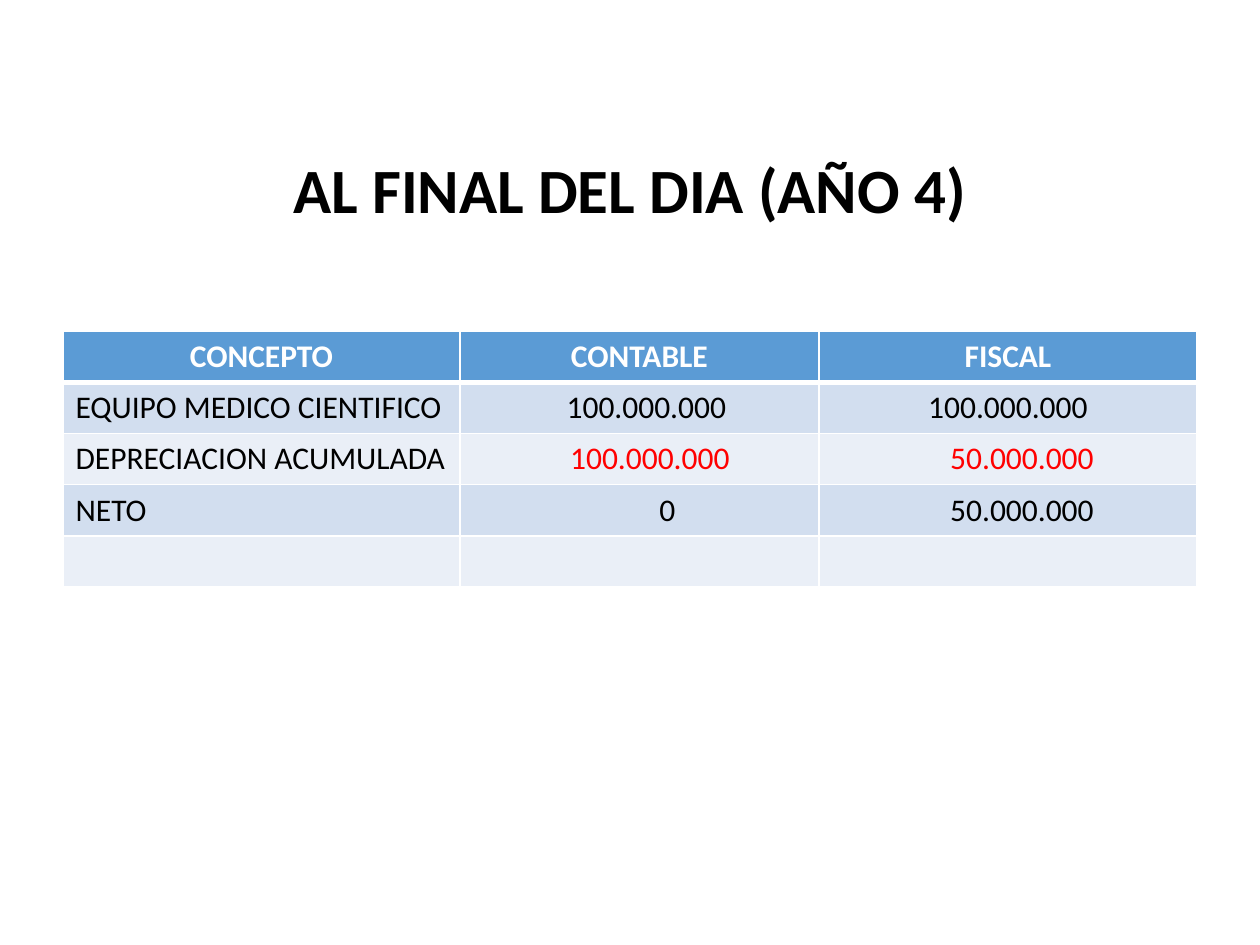
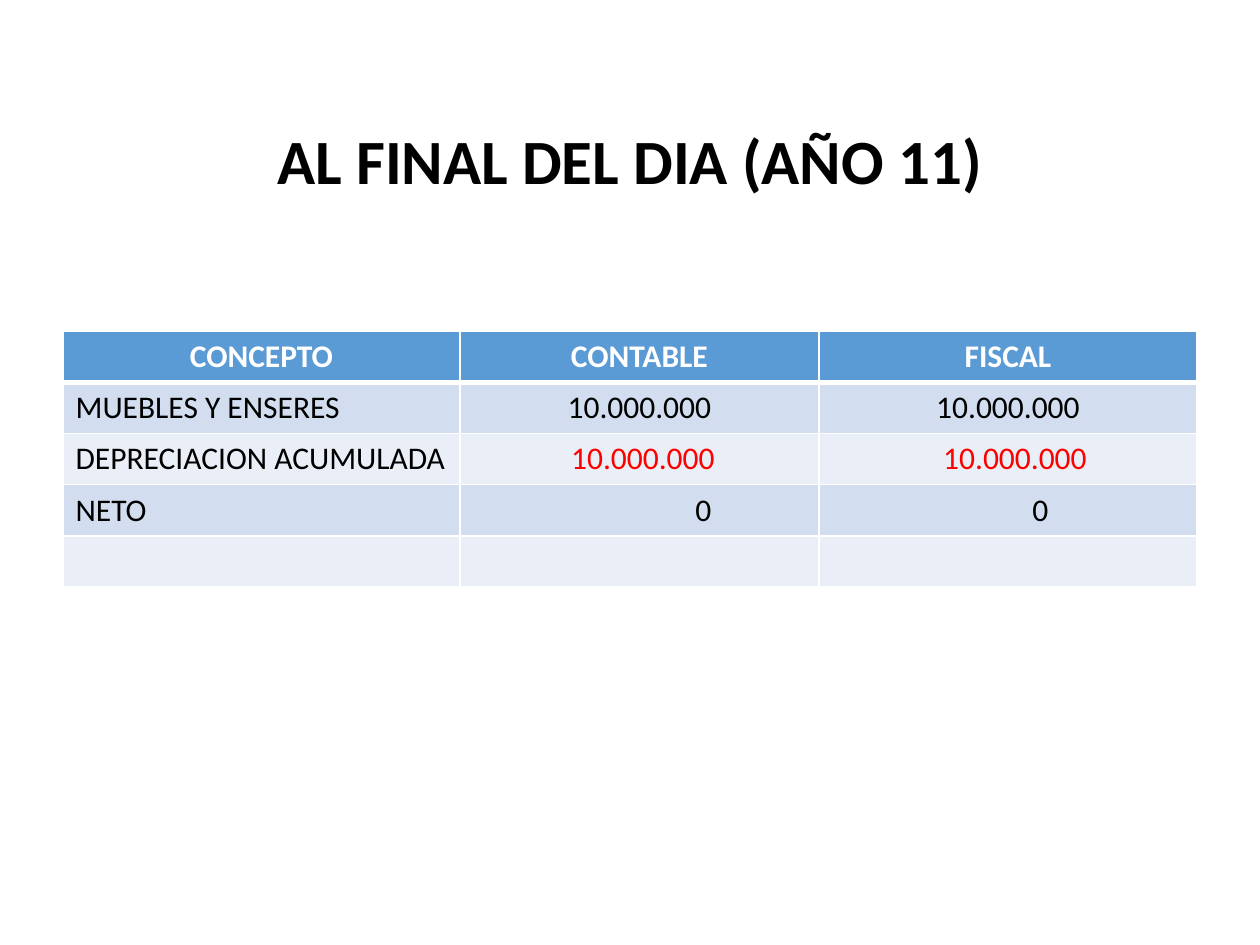
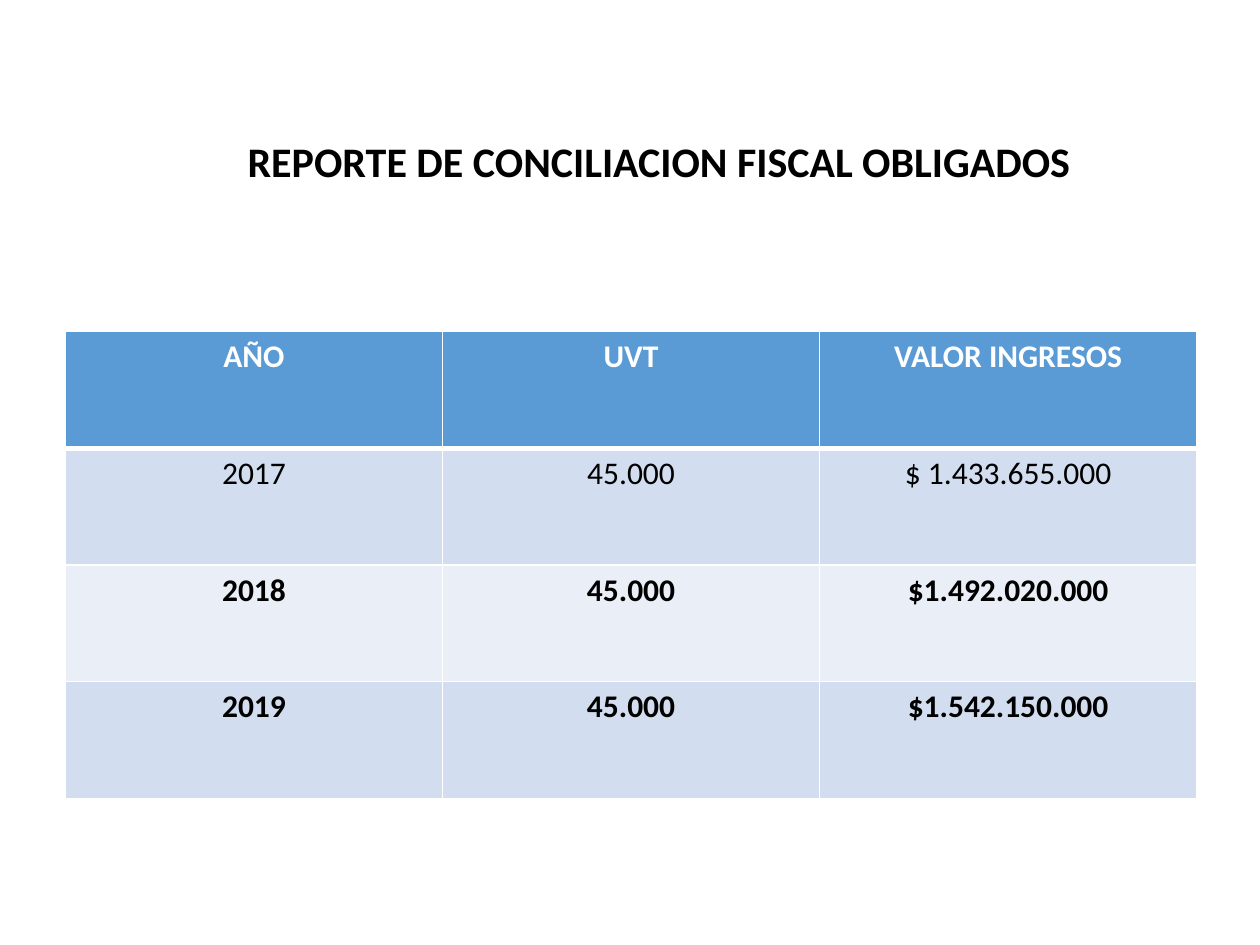
from dataclasses import dataclass

from pptx import Presentation
from pptx.dml.color import RGBColor
from pptx.enum.text import MSO_ANCHOR, PP_ALIGN
from pptx.oxml import parse_xml
from pptx.oxml.ns import nsdecls
from pptx.util import Pt

FONT = "Calibri"
BLACK, WHITE, RED = "000000", "FFFFFF", "FF0000"
HEADER, BANDS = "5B9BD5", ("D2DEEF", "EAEFF7")
TABLE_TOP = 189.4


@dataclass(frozen=True)
class Cell:
    text: str = ""
    color: str = BLACK
    bold: bool = False
    align: PP_ALIGN = PP_ALIGN.CENTER
    indent: float = 0


@dataclass(frozen=True)
class Title:
    text: str
    left: float
    top: float
    size: float = 36


@dataclass(frozen=True)
class Grid:
    left: float
    widths: tuple[float, ...]
    row_height: float
    rows: list[list[Cell]]


def rgb(color: str) -> RGBColor:
    return RGBColor.from_string(color)


def write(tf, text: str, *, size: float = 18, color: str = BLACK, bold: bool = False,
          align: PP_ALIGN = PP_ALIGN.CENTER, spacing: float | None = None) -> None:
    p = tf.paragraphs[0]
    p.alignment = align
    p.line_spacing = spacing
    r = p.add_run()
    r.text = text
    r.font.name = FONT
    r.font.size = Pt(size)
    r.font.bold = bold
    r.font.color.rgb = rgb(color)


def set_borders(cell, top: float, bottom: float) -> None:
    tcPr = cell._tc.get_or_add_tcPr()
    sides = (("lnL", 1), ("lnR", 1), ("lnT", top), ("lnB", bottom))
    for i, (tag, width) in enumerate(sides):
        tcPr.insert(i, parse_xml(
            f'<a:{tag} {nsdecls("a")} w="{Pt(width)}"><a:solidFill>'
            f'<a:srgbClr val="{WHITE}"/></a:solidFill></a:{tag}>'))


def add_title(s, title: Title) -> None:
    sp = s.shapes.add_textbox(Pt(title.left), Pt(title.top), Pt(648), Pt(27.4))
    tf = sp.text_frame
    tf.word_wrap = True
    tf.vertical_anchor = MSO_ANCHOR.BOTTOM
    write(tf, title.text, size=title.size, bold=True, spacing=0.9)


def add_grid(s, grid: Grid) -> None:
    count = len(grid.rows)
    table = s.shapes.add_table(
        count, len(grid.widths), Pt(grid.left), Pt(TABLE_TOP),
        Pt(sum(grid.widths)), Pt(grid.row_height * count)).table
    for column, width in zip(table.columns, grid.widths):
        column.width = Pt(width)
    for i, row in enumerate(grid.rows):
        table.rows[i].height = Pt(grid.row_height)
        for j, item in enumerate(row):
            cell = table.cell(i, j)
            cell.fill.solid()
            cell.fill.fore_color.rgb = rgb(BANDS[(i - 1) % 2] if i else HEADER)
            set_borders(cell, 3 if i == 1 else 1, 1 if i else 3)
            cell.margin_left = Pt(7.2 + item.indent)
            if item.text:
                write(cell.text_frame, item.text, color=item.color,
                      bold=item.bold, align=item.align)


def header(*names: str) -> list[Cell]:
    return [Cell(name, WHITE, True) for name in names]


def values(*texts: str, bold: bool = False) -> list[Cell]:
    return [Cell(text, bold=bold) for text in texts]


def balance(asset: str, cost: list[Cell], depreciation: list[Cell],
            net: list[Cell]) -> Grid:
    labels = (asset, "DEPRECIACION ACUMULADA", "NETO")
    body = [[Cell(label, align=PP_ALIGN.LEFT), *amounts]
            for label, amounts in zip(labels, (cost, depreciation, net))]
    rows = [header("CONCEPTO", "CONTABLE", "FISCAL"), *body, [Cell()] * 3]
    return Grid(36, (226.8, 205.2, 216), 29.2, rows)


SLIDES = [
    (Title("AL FINAL DEL DIA (AÑO 4)", 36, 105.8),
     balance("EQUIPO MEDICO CIENTIFICO",
             [Cell("100.000.000", indent=8), Cell("100.000.000")],
             [Cell("100.000.000", RED, indent=12), Cell("50.000.000", RED, indent=16)],
             [Cell("0", indent=32), Cell("50.000.000", indent=16)])),
    (Title("AL FINAL DEL DIA (AÑO 11)", 36, 89.3),
     balance("MUEBLES Y ENSERES",
             values("10.000.000", "10.000.000"),
             [Cell("10.000.000", RED, indent=4), Cell("10.000.000", RED, indent=8)],
             [Cell("0", indent=73), Cell("0", indent=37)])),
    (Title("REPORTE DE CONCILIACION FISCAL OBLIGADOS", 52.6, 82.8, 24),
     Grid(37.4, (215.5,) * 3, 66.7, [
         header("AÑO", "UVT", "VALOR INGRESOS"),
         values("2017", "45.000", "$ 1.433.655.000"),
         values("2018", "45.000", "$1.492.020.000", bold=True),
         values("2019", "45.000", "$1.542.150.000", bold=True)])),
]


def main() -> None:
    prs = Presentation()
    prs.slide_width, prs.slide_height = Pt(720), Pt(540)
    for title, grid in SLIDES:
        s = prs.slides.add_slide(prs.slide_layouts[6])
        add_title(s, title)
        add_grid(s, grid)
    prs.save("out.pptx")


if __name__ == "__main__":
    main()
